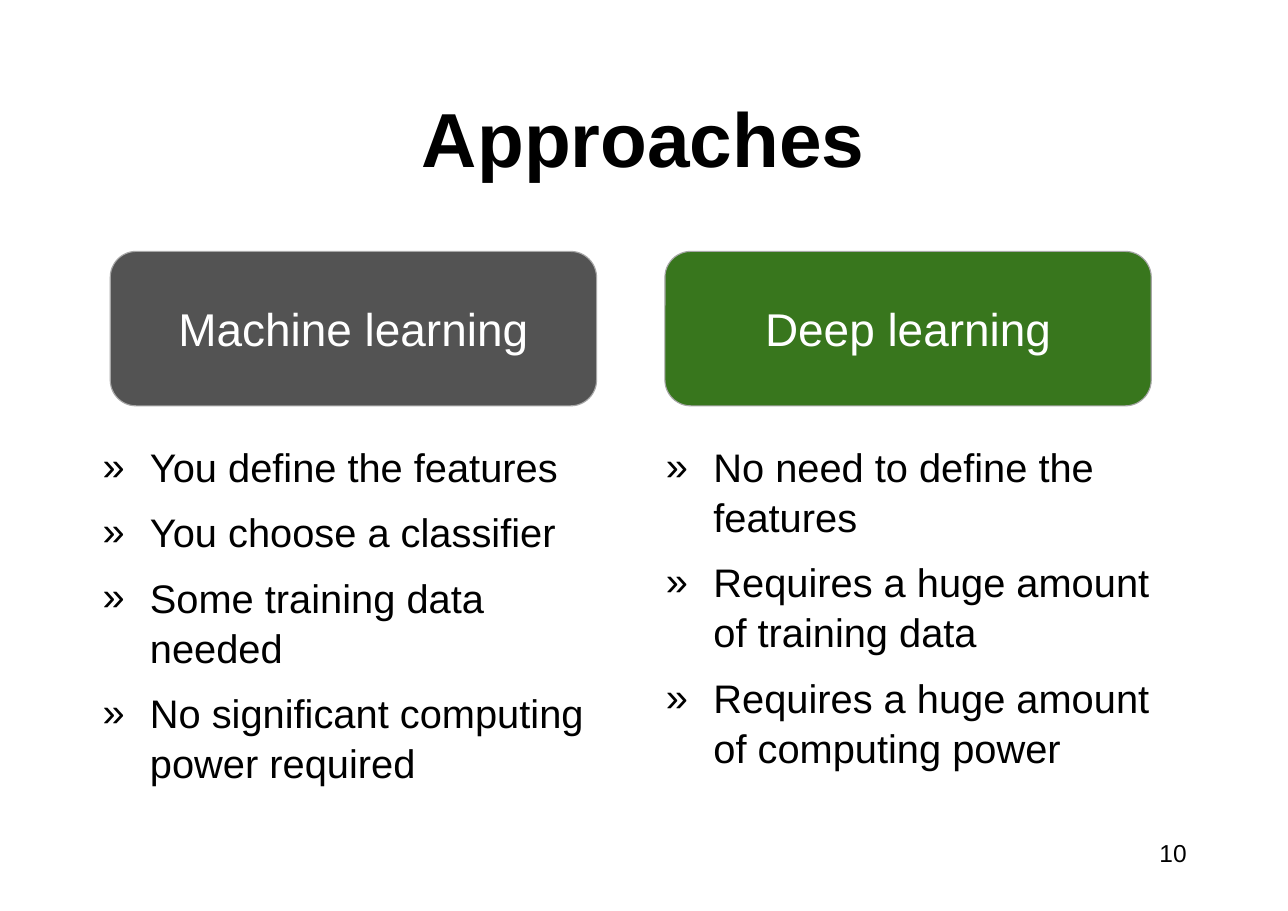
from pptx import Presentation
from pptx import util as u
from pptx.dml.color import RGBColor
from pptx.enum import shapes, text
from lxml import etree

WIDE, HIGH = 11.68, 8.26
BLACK = RGBColor(0, 0, 0)
WHITE = RGBColor(255, 255, 255)
GREY = RGBColor(0x53, 0x53, 0x53)
GREEN = RGBColor(0x38, 0x76, 0x1D)
EDGE = RGBColor(0xA7, 0xA7, 0xA7)
FONT = "Arial"
NS = "{http://schemas.openxmlformats.org/drawingml/2006/main}"
SIDES = [
    ("Machine learning", GREY, 1.0, 0.8,
     ["You define the features", "You choose a classifier",
      "Some training data needed", "No significant computing power required"]),
    ("Deep learning", GREEN, 6.03, 5.91,
     ["No need to define the features",
      "Requires a huge amount of training data",
      "Requires a huge amount of computing power"]),
]


def fill_text(shape, lines, size, color, align, pad=0.06, bold=False, middle=False):
    """Put styled lines into a shape and return its paragraphs."""
    frame = shape.text_frame
    frame.word_wrap = True
    frame.margin_left = frame.margin_right = u.Inches(pad)
    frame.margin_top = frame.margin_bottom = u.Inches(pad)
    anchor = text.MSO_ANCHOR
    frame.vertical_anchor = anchor.MIDDLE if middle else anchor.TOP
    frame.text = "\n".join(lines)
    for para in frame.paragraphs:
        para.alignment = align
        for run in para.runs:
            font = run.font
            font.name, font.size, font.bold = FONT, u.Pt(size), bold
            font.color.rgb = color
    return frame.paragraphs


def add_label(slide, box, line, size, align, **style):
    """Add a one-line text box."""
    label = slide.shapes.add_textbox(*map(u.Inches, box))
    fill_text(label, [line], size, BLACK, align, **style)


def add_head(slide, box, name, color):
    """Add a rounded heading panel."""
    panel = slide.shapes.add_shape(
        shapes.MSO_SHAPE.ROUNDED_RECTANGLE, *map(u.Inches, box))
    panel.adjustments[0] = 0.167
    panel.shadow.inherit = False
    panel.fill.solid()
    panel.fill.fore_color.rgb = color
    panel.line.color.rgb = EDGE
    panel.line.width = u.Pt(0.75)
    fill_text(panel, [name], 30, WHITE, text.PP_ALIGN.CENTER, pad=0.1, middle=True)


def add_list(slide, box, points):
    """Add a list with hanging angle-quote bullets."""
    area = slide.shapes.add_textbox(*map(u.Inches, box))
    paras = fill_text(area, points, 26, BLACK, text.PP_ALIGN.LEFT)
    for index, para in enumerate(paras):
        para.space_before = u.Pt(10 if index else 8)
        para.line_spacing = 1.05
        props = para._p.get_or_add_pPr()
        props.set("marL", str(u.Inches(0.5)))
        props.set("indent", str(u.Inches(-0.43)))
        tint = etree.SubElement(props, NS + "buClr")
        etree.SubElement(tint, NS + "srgbClr", val=str(BLACK))
        etree.SubElement(props, NS + "buFont", typeface=FONT)
        etree.SubElement(props, NS + "buChar", char="»")


def add_slide(deck):
    """Build the two-column comparison slide."""
    slide = deck.slides.add_slide(deck.slide_layouts[6])
    align = text.PP_ALIGN
    add_label(slide, (10.44, 7.54, 0.38, 0.36), "10", 16, align.RIGHT)
    add_label(slide, (0.8, 0.44, 10.07, 1.6), "Approaches", 50, align.CENTER,
              bold=True, middle=True)
    for name, color, head_x, list_x, points in SIDES:
        add_list(slide, (list_x, 3.93, 4.94, 3.53), points)
        add_head(slide, (head_x, 2.28, 4.41, 1.4), name, color)


def main():
    """Create and save the deck."""
    deck = Presentation()
    deck.slide_width, deck.slide_height = u.Inches(WIDE), u.Inches(HIGH)
    add_slide(deck)
    deck.save("out.pptx")


if __name__ == "__main__":
    main()
